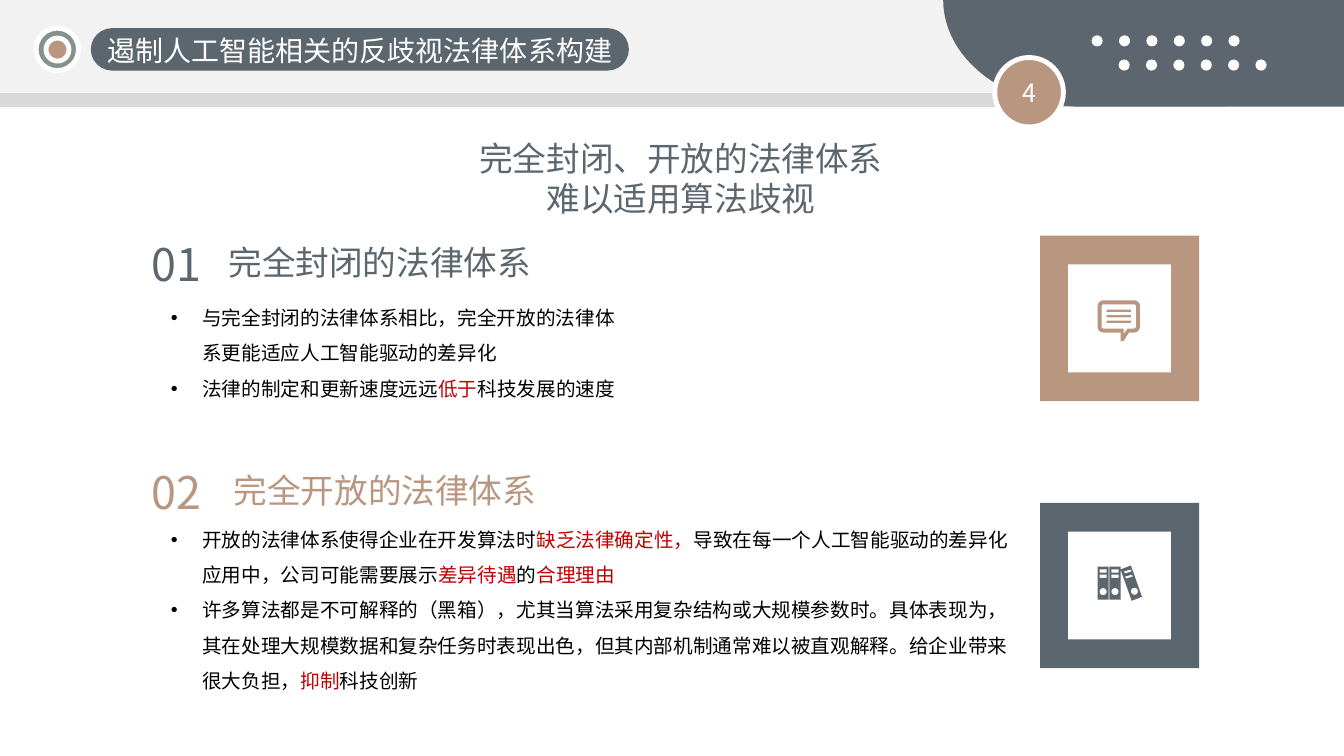
from math import cos, radians, sin

from lxml import etree
from pptx import Presentation
from pptx.dml.color import RGBColor
from pptx.enum.shapes import MSO_SHAPE
from pptx.enum.text import MSO_ANCHOR, PP_ALIGN
from pptx.oxml.ns import qn
from pptx.util import Cm, Pt

RECT, OVAL, PILL = MSO_SHAPE.RECTANGLE, MSO_SHAPE.OVAL, MSO_SHAPE.ROUNDED_RECTANGLE
LEFT, MID = PP_ALIGN.LEFT, PP_ALIGN.CENTER
CENTRE = MSO_ANCHOR.MIDDLE

SLATE = RGBColor(0x5C, 0x66, 0x6E)
STEEL = RGBColor(0x5D, 0x66, 0x6E)
TAN = RGBColor(0xB9, 0x96, 0x80)
SAGE = RGBColor(0x86, 0x91, 0x8A)
PALE = RGBColor(0xF2, 0xF2, 0xF2)
GREY = RGBColor(0xD9, 0xD9, 0xD9)
WHITE = RGBColor(0xFF, 0xFF, 0xFF)
BLACK = RGBColor(0, 0, 0)
RED = RGBColor(0xC0, 0, 0)
FONT = "Noto Sans CJK SC"

TOPIC = "遏制人工智能相关的反歧视法律体系构建"
TITLE = "完全封闭、开放的法律体系难以适用算法歧视"
PAGE = "4"

# Text between bars is shown in red.
PARTS = [
    dict(num="01", head="完全封闭的法律体系", ink=SLATE, top=5.84, left=5.51,
         body=(4.06, 7.29, 11.71, 3.84), tile=5.94, fill=TAN, points=[
             "与完全封闭的法律体系相比，完全开放的法律体系更能适应人工智能驱动的差异化",
             "法律的制定和更新速度远远|低于|科技发展的速度"]),
    dict(num="02", head="完全开放的法律体系", ink=TAN, top=11.58, left=5.64,
         body=(4.06, 12.88, 21.84, 4.06), tile=12.67, fill=SLATE, points=[
             "开放的法律体系使得企业在开发算法时|缺乏法律确定性，|导致在每一个人工智能驱动的差异化"
             "应用中，公司可能需要展示|差异待遇|的|合理理由",
             "许多算法都是不可解释的（黑箱），尤其当算法采用复杂结构或大规模参数时。具体表现为，"
             "其在处理大规模数据和复杂任务时表现出色，但其内部机制通常难以被直观解释。给企业带来"
             "很大负担，|抑制|科技创新"]),
]

TILE = (4.01, 4.17)
PANE = (2.59, 2.72)
TILE_X = 26.21
DOTS = [(27.51, 0.89), (28.19, 1.5)]
DOT, STEP = 0.28, 0.69

deck = Presentation()
deck.slide_width, deck.slide_height = Cm(33.87), Cm(19.05)
slide = deck.slides.add_slide(deck.slide_layouts[6])


def paint(shape, fill, line=None):
    shape.shadow.inherit = False
    shape.fill.solid()
    shape.fill.fore_color.rgb = fill
    if line is None:
        shape.line.fill.background()
    else:
        shape.line.color.rgb = line
        shape.line.width = Pt(3.5)
    return shape


def add(kind, x, y, w, h, fill, line=None):
    return paint(slide.shapes.add_shape(kind, Cm(x), Cm(y), Cm(w), Cm(h)), fill, line)


def arc(x, y, rx, ry, start, end):
    turns = [radians(start + (end - start) * i / 24) for i in range(25)]
    return [(x + rx * cos(t), y + ry * sin(t)) for t in turns]


def ring(x, y, r):
    return arc(x, y, r, r, 0, 360)


def block(x, y, w, h):
    return [(x, y), (x + w, y), (x + w, y + h), (x, y + h)]


def bubble(l, t, r, b, rad, tail):
    return (arc(l + rad, t + rad, rad, rad, 180, 270)
            + arc(r - rad, t + rad, rad, rad, 270, 360)
            + arc(r - rad, b - rad, rad, rad, 0, 90)
            + tail + arc(l + rad, b - rad, rad, rad, 90, 180))


def shift(pts, dx, dy):
    return [(x + dx, y + dy) for x, y in pts]


def trace(x, y, rings, fill):
    rings = [[(Cm(px), Cm(py)) for px, py in shift(pts, x, y)] for pts in rings]
    pen = slide.shapes.build_freeform(*rings[0][0])
    for i, pts in enumerate(rings):
        if i:
            pen.move_to(*pts[0])
        pen.add_line_segments(pts[1:], close=True)
    paint(pen.convert_to_shape(), fill)


def style(run, size, ink):
    run.font.size, run.font.name = Pt(size), FONT
    run.font.color.rgb = ink
    east = etree.SubElement(run.font._element, qn("a:ea"))
    east.set("typeface", FONT)


def label(frame, text, size, ink, align=LEFT):
    frame.word_wrap = True
    frame.text = text
    para = frame.paragraphs[0]
    para.alignment = align
    style(para.runs[0], size, ink)


def write(x, y, w, h, *args):
    box = slide.shapes.add_textbox(Cm(x), Cm(y), Cm(w), Cm(h))
    label(box.text_frame, *args)


def listing(x, y, w, h, points):
    frame = slide.shapes.add_textbox(Cm(x), Cm(y), Cm(w), Cm(h)).text_frame
    frame.word_wrap = True
    for i, point in enumerate(points):
        para = frame.add_paragraph() if i else frame.paragraphs[0]
        para.line_spacing = 1.5
        props = para._p.get_or_add_pPr()
        props.set("marL", str(Cm(0.79)))
        props.set("indent", str(-Cm(0.79)))
        etree.SubElement(props, qn("a:buFont")).set("typeface", "Arial")
        etree.SubElement(props, qn("a:buChar")).set("char", "•")
        for j, piece in enumerate(point.split("|")):
            if piece:
                run = para.add_run()
                run.text = piece
                style(run, 14, RED if j % 2 else BLACK)


add(RECT, 0, 0.36, 30.91, 2.34, GREY)
add(RECT, 0, 0, 30.91, 2.34, PALE)
trace(0, 0, [[(33.87, 0), (33.87, 2.69)] + arc(27.28, 0, 3.51, 2.69, 90, 180)], STEEL)
for x, y in DOTS:
    for i in range(6):
        add(OVAL, x + i * STEP, y, DOT, DOT, WHITE)
badge = add(OVAL, 25.07, 1.45, 1.73, 1.75, TAN, WHITE)
badge.text_frame.vertical_anchor = CENTRE
label(badge.text_frame, PAGE, 18, WHITE, MID)

add(PILL, 2.29, 0.71, 13.56, 1.07, SLATE).adjustments[0] = 0.5
add(OVAL, 0.91, 0.71, 1.07, 1.07, SAGE, WHITE)
add(OVAL, 1.16, 0.96, 0.58, 0.58, TAN, WHITE)
write(2.29, 0.71, 13.56, 1.12, TOPIC, 20, WHITE, MID)
write(11.43, 3.35, 11.46, 2.31, TITLE, 24, SLATE, MID)

for part in PARTS:
    write(3.58, part["top"], 2.84, 1.63, part["num"], 32, part["ink"])
    write(part["left"], part["top"] + 0.13, 9.53, 1.27, part["head"], 24, part["ink"])
    listing(*part["body"], part["points"])
    add(RECT, TILE_X, part["tile"], *TILE, part["fill"])
    dx, dy = [(a - b) / 2 for a, b in zip(TILE, PANE)]
    add(RECT, TILE_X + dx, part["tile"] + dy, *PANE, WHITE)

chat = [bubble(0, 0, 1.07, 0.81, 0.15, [(0.79, 0.81), (0.66, 1.02), (0.58, 1.02), (0.58, 0.81)]),
        bubble(0.1, 0.1, 0.97, 0.71, 0.05, [(0.76, 0.71), (0.66, 0.84), (0.66, 0.71)])]
chat += [block(0.23, 0.23 + i * 0.14, 0.61, 0.06) for i in range(3)]
trace(27.66, 7.57, chat, TAN)

spine = [block(0, 0.03, 0.28, 0.83), block(0.05, 0.1, 0.18, 0.08),
         block(0.05, 0.23, 0.18, 0.08), ring(0.14, 0.66, 0.09)]
tag = [(0.66, 0.15), (0.69, 0.2), (0.86, 0.15), (0.84, 0.1)]
lean = [[(0.58, 0.1), (0.84, 0), (1.12, 0.79), (0.86, 0.89)],
        tag, shift(tag, 0.03, 0.13), ring(0.93, 0.65, 0.09)]
trace(27.66, 14.25, spine + [shift(pts, 0.3, 0) for pts in spine] + lean, SLATE)

deck.save("out.pptx")
